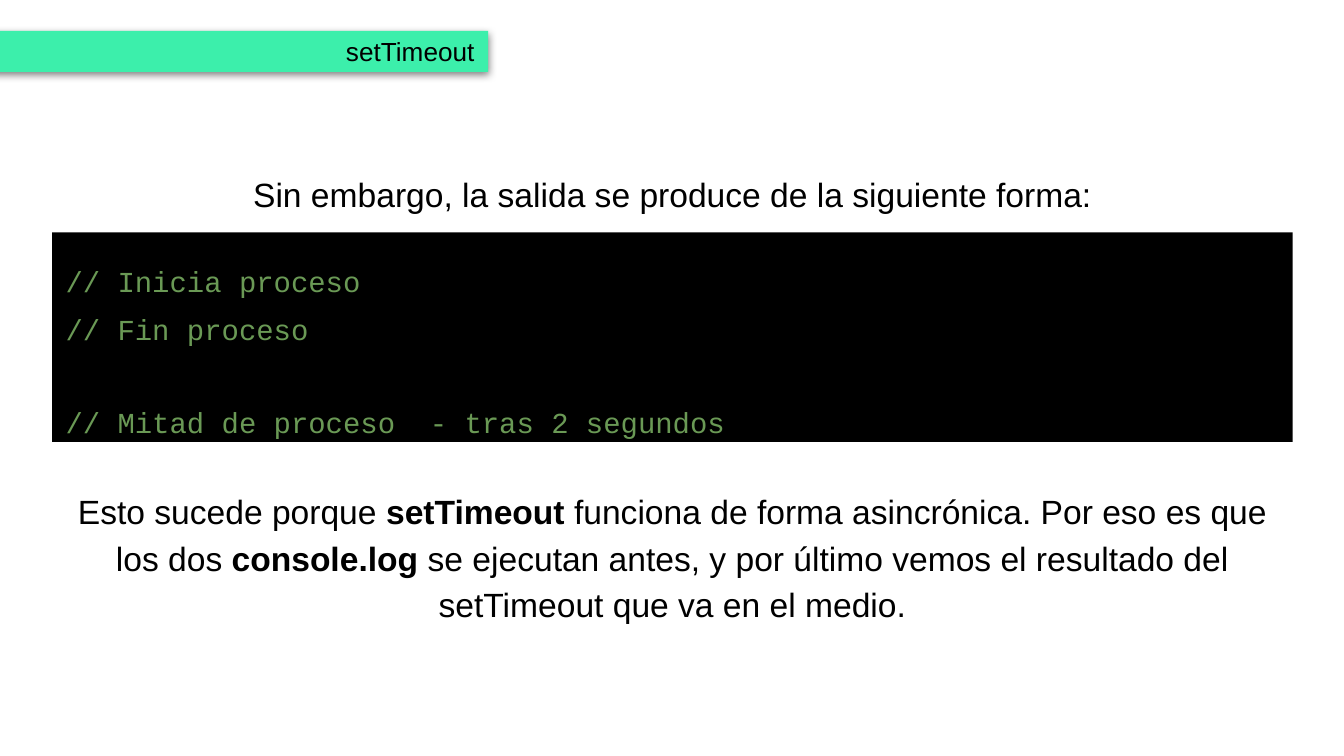
from dataclasses import dataclass

from lxml.etree import SubElement
from pptx import Presentation
from pptx.dml.color import RGBColor
from pptx.enum.shapes import MSO_SHAPE
from pptx.enum.text import MSO_ANCHOR, MSO_AUTO_SIZE, PP_ALIGN
from pptx.oxml import parse_xml
from pptx.oxml.ns import nsdecls, qn
from pptx.util import Pt


@dataclass(frozen=True)
class Theme:
    """Colours, fonts and type sizes of the deck."""
    text: str = "000000"
    accent: str = "3CEFAB"
    panel: str = "000000"
    comment: str = "6A9955"
    body_font: str = "Arial"
    code_font: str = "Courier New"
    title_size: float = 14
    body_size: float = 18
    code_size: float = 15.5
    inset: float = 7.2


def add_run(p, text, *, font, size, color, bold=False):
    """Append a formatted run to a paragraph."""
    r = p.add_run()
    r.text = text
    r.font.name = font
    r.font.size = Pt(size)
    r.font.bold = bold
    r.font.color.rgb = RGBColor.from_string(color)


class SlideBuilder:
    """Holds the theme and the current slide."""

    def __init__(self, prs, theme):
        self.theme = theme
        self.s = prs.slides.add_slide(prs.slide_layouts[5])

    def setup_frame(self, tf, anchor, auto_size):
        """Set wrapping, insets, anchor and fitting of a text frame."""
        tf.word_wrap = True
        tf.auto_size = auto_size
        tf.vertical_anchor = anchor
        inset = Pt(self.theme.inset)
        tf.margin_left = tf.margin_right = inset
        tf.margin_top = tf.margin_bottom = inset

    def title_tab(self, text, x, y, w, h):
        """Turn the title placeholder into a rounded tab with a soft shadow."""
        t = self.theme
        sp = self.s.shapes.title
        sp.left, sp.top, sp.width, sp.height = Pt(x), Pt(y), Pt(w), Pt(h)
        sp_pr = sp.element.spPr
        geom = SubElement(sp_pr, qn("a:prstGeom"), prst="roundRect")
        guides = SubElement(geom, qn("a:avLst"))
        SubElement(guides, qn("a:gd"), name="adj", fmla="val 16700")
        sp.fill.solid()
        sp.fill.fore_color.rgb = RGBColor.from_string(t.accent)
        sp.line.fill.background()
        sp_pr.append(parse_xml(
            f'<a:effectLst {nsdecls("a")}>'
            f'<a:outerShdw blurRad="{Pt(4.5)}" dist="{Pt(1.5)}" dir="5400000" '
            'algn="bl" rotWithShape="0"><a:srgbClr val="000000">'
            '<a:alpha val="50000"/></a:srgbClr></a:outerShdw></a:effectLst>'))
        tf = sp.text_frame
        self.setup_frame(tf, MSO_ANCHOR.MIDDLE, MSO_AUTO_SIZE.NONE)
        p = tf.paragraphs[0]
        p.alignment = PP_ALIGN.RIGHT
        add_run(p, text, font=t.body_font, size=t.title_size, color=t.text)

    def panel(self, x, y, w, h):
        """Add a plain filled rectangle."""
        sp = self.s.shapes.add_shape(MSO_SHAPE.RECTANGLE, Pt(x), Pt(y), Pt(w), Pt(h))
        sp.shadow.inherit = False
        sp.fill.solid()
        sp.fill.fore_color.rgb = RGBColor.from_string(self.theme.panel)
        sp.line.fill.background()

    def text_box(self, x, y, w, h):
        """Add an empty text box and return its frame."""
        tf = self.s.shapes.add_textbox(Pt(x), Pt(y), Pt(w), Pt(h)).text_frame
        self.setup_frame(tf, MSO_ANCHOR.TOP, MSO_AUTO_SIZE.SHAPE_TO_FIT_TEXT)
        return tf

    def body(self, parts, x, y, w, h):
        """Add a centred paragraph from (text, bold) parts."""
        t = self.theme
        p = self.text_box(x, y, w, h).paragraphs[0]
        p.alignment = PP_ALIGN.CENTER
        p.line_spacing = 1.15
        for text, bold in parts:
            add_run(p, text, font=t.body_font, size=t.body_size, color=t.text, bold=bold)

    def code(self, lines, x, y, w, h):
        """Add code lines from (text, space before) pairs."""
        t = self.theme
        tf = self.text_box(x, y, w, h)
        for i, (text, gap) in enumerate(lines):
            p = tf.add_paragraph() if i else tf.paragraphs[0]
            p.line_spacing = 1.36
            p.space_before = Pt(gap)
            add_run(p, text, font=t.code_font, size=t.code_size, color=t.comment)


def main():
    """Build the setTimeout slide."""
    prs = Presentation()
    prs.slide_width, prs.slide_height = Pt(720), Pt(405)
    b = SlideBuilder(prs, Theme())
    left, width = 28, 664.5

    b.title_tab("setTimeout", -16.5, 16.5, 278, 22)
    b.body([("Sin embargo, la salida se produce de la siguiente forma:", False)],
           left, 83, width, 36)
    b.panel(left, 124.5, width, 112.3)
    b.code([("// Inicia proceso", 0),
            ("// Fin proceso", 0),
            ("// Mitad de proceso  - tras 2 segundos", 25)],
           left, 127.5, 602, 110)
    b.body([("Esto sucede porque ", False),
            ("setTimeout ", True),
            ("funciona de forma asincrónica. Por eso es que los dos ", False),
            ("console.log", True),
            (" se ejecutan antes, y por último vemos el resultado del "
             "setTimeout que va en el medio.", False)],
           left, 252.7, width, 86.4)

    prs.save("out.pptx")


if __name__ == "__main__":
    main()
